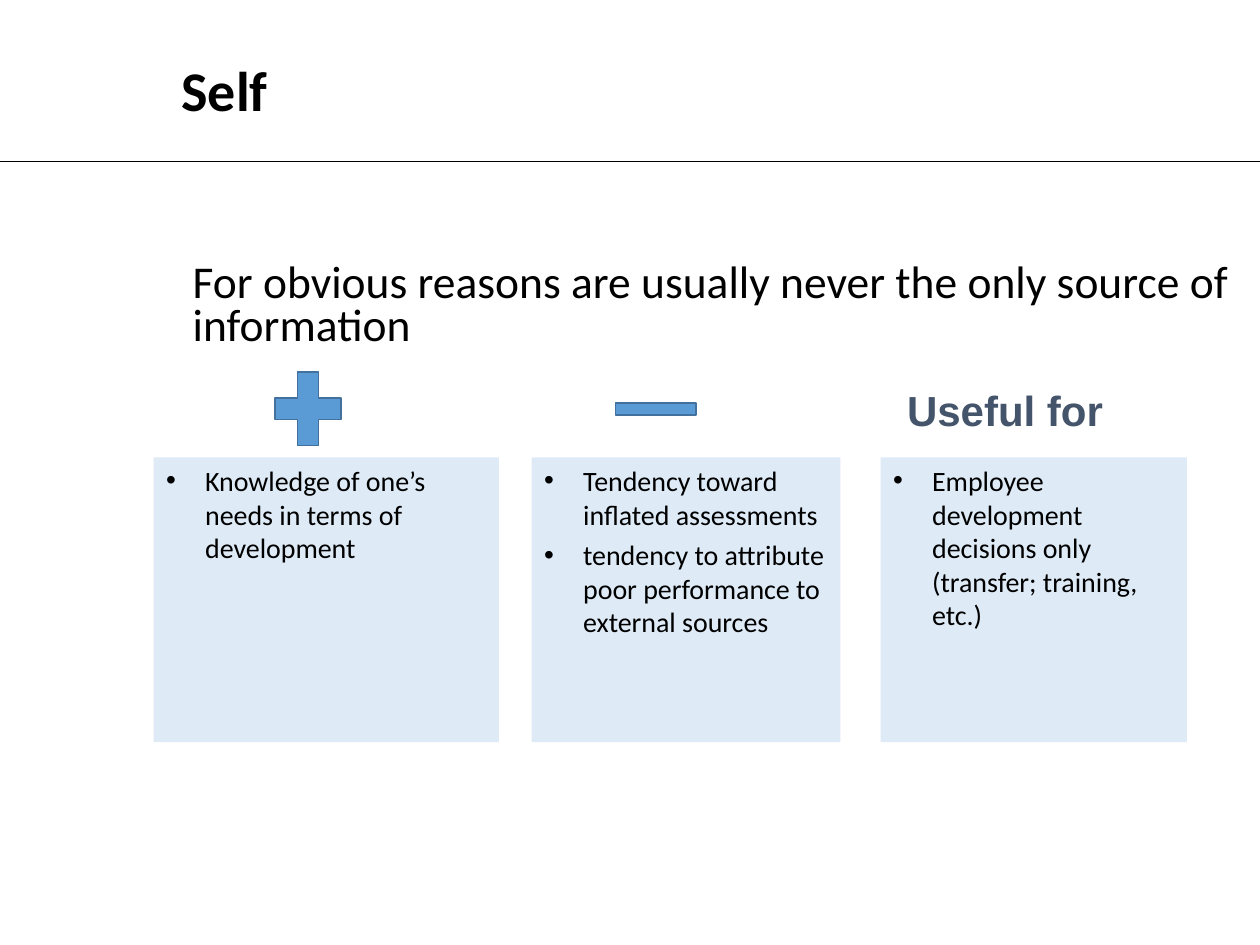
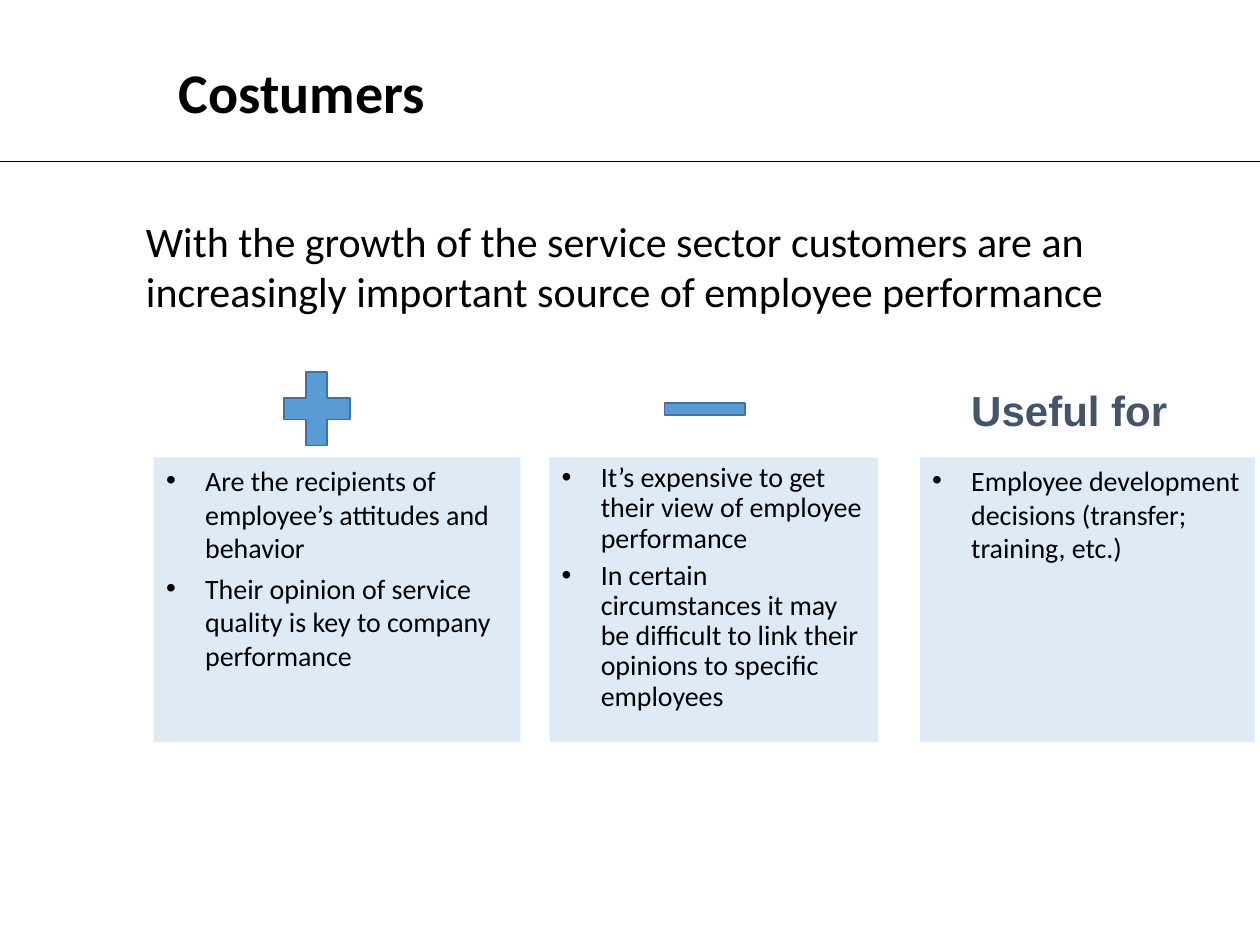
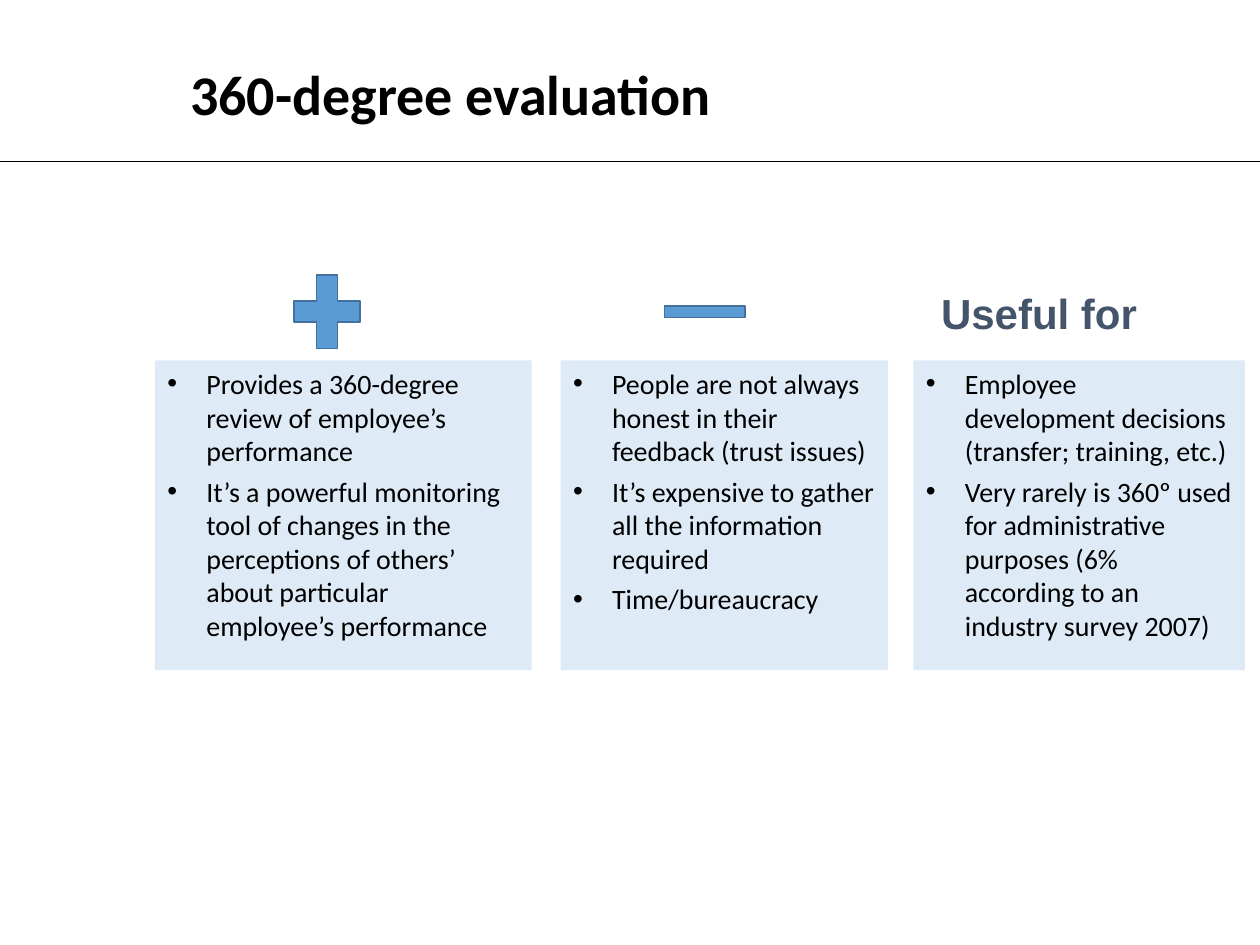
import dataclasses

import lxml.etree
import pptx
import pptx.dml.color
import pptx.enum.shapes
import pptx.enum.text
import pptx.oxml.ns
import pptx.util

Inches = pptx.util.Inches
Shape = pptx.enum.shapes.MSO_SHAPE


@dataclasses.dataclass(frozen=True)
class Theme:
    ink: str = "000000"
    icon: str = "5B9BD5"
    icon_edge: str = "41719C"
    panel: str = "DEEBF7"
    label: str = "44546A"
    body_font: str = "Calibri"
    label_font: str = "Arial"
    title_size: int = 32
    label_size: int = 24
    panel_size: int = 16


THEME = Theme()


@dataclasses.dataclass(frozen=True)
class Column:
    left: float
    width: float
    heading_left: float
    points: tuple
    line_spacing: float = 1.0


def rgb(value):
    return pptx.dml.color.RGBColor.from_string(value)


def add_element(parent, tag, **attributes):
    return lxml.etree.SubElement(parent, pptx.oxml.ns.qn(tag), **attributes)


def write_text(shape, *texts, size, font=THEME.body_font, color=THEME.ink, bold=False,
               line_spacing=1.0, space_before=0, indent=0, bullet=False, wrap=True):
    frame = shape.text_frame
    frame.word_wrap = wrap
    frame.auto_size = pptx.enum.text.MSO_AUTO_SIZE.NONE
    frame.vertical_anchor = pptx.enum.text.MSO_ANCHOR.TOP
    for index, text in enumerate(texts):
        para = frame.add_paragraph() if index else frame.paragraphs[0]
        para.alignment = pptx.enum.text.PP_ALIGN.LEFT
        para.line_spacing = line_spacing
        para.space_before = pptx.util.Pt(space_before if index else 0)
        properties = para._p.get_or_add_pPr()
        properties.set("marL", str(Inches(indent)))
        properties.set("indent", str(-Inches(indent) if bullet else 0))
        if bullet:
            add_element(properties, "a:buFont", typeface=THEME.label_font)
            add_element(properties, "a:buChar", char="•")
        span = para.add_run()
        span.text = text
        span.font.name = font
        span.font.size = pptx.util.Pt(size)
        span.font.bold = bold
        span.font.color.rgb = rgb(color)


def add_text(page, text, left, top, width, height, **text_format):
    box = page.shapes.add_textbox(Inches(left), Inches(top), Inches(width), Inches(height))
    write_text(box, text, **text_format)


def add_filled_shape(page, kind, left, top, width, height, fill, edge=None):
    shape = page.shapes.add_shape(kind, Inches(left), Inches(top), Inches(width), Inches(height))
    shape.shadow.inherit = False
    shape.fill.solid()
    shape.fill.fore_color.rgb = rgb(fill)
    if edge:
        shape.line.color.rgb = rgb(edge)
        shape.line.width = pptx.util.Pt(1)
    else:
        shape.line.fill.background()
    return shape


def add_rule(page):
    rule = page.shapes.add_connector(
        pptx.enum.shapes.MSO_CONNECTOR.STRAIGHT, 0, Inches(1.28), Inches(10), Inches(1.28))
    rule.line.color.rgb = rgb(THEME.ink)
    rule.line.width = pptx.util.Pt(0.5)
    add_element(rule._element.spPr, "a:effectLst")


def add_page(deck, title, left, top, width=9):
    page = deck.slides.add_slide(deck.slide_layouts[5])
    add_rule(page)
    box = page.shapes.title
    box.left, box.top, box.width, box.height = map(Inches, (left, top, width, 0.87))
    write_text(box, title, size=THEME.title_size, bold=True, line_spacing=0.9)
    return page


def add_icon(page, kind, left, top, width, height):
    add_filled_shape(page, kind, left, top, width, height, THEME.icon, THEME.icon_edge)


def add_panel(page, column, top, height):
    panel = add_filled_shape(page, Shape.RECTANGLE, column.left, top, column.width, height, THEME.panel)
    write_text(panel, *column.points, size=THEME.panel_size, space_before=4,
               line_spacing=column.line_spacing, indent=0.31, bullet=True)


def add_comparison(page, top, height, strengths, weaknesses, uses):
    add_icon(page, Shape.MATH_PLUS, strengths.heading_left, top - 0.78, 0.71, 0.79)
    add_icon(page, Shape.MATH_MINUS, weaknesses.heading_left, top - 0.58, 0.87, 0.39)
    for column in (strengths, weaknesses, uses):
        add_panel(page, column, top, height)
    add_text(page, "Useful for", uses.heading_left, top - 0.63, 1.75, 0.5, size=THEME.label_size,
             font=THEME.label_font, color=THEME.label, bold=True, wrap=False)


def add_self(deck):
    page = add_page(deck, "Self", 1.34, 0.45, 8.86)
    add_text(page, "For obvious reasons are usually never the only source of information",
             0.99, 2.04, 9.09, 0.8, size=26, line_spacing=0.8, indent=0.44)
    add_comparison(
        page, 3.63, 2.26,
        Column(1.22, 2.74, 2.09, ("Knowledge of one’s needs in terms of development",)),
        Column(4.22, 2.45, 4.77, (
            "Tendency toward inflated assessments",
            "tendency to attribute poor performance to external sources")),
        Column(6.99, 2.43, 7.1, (
            "Employee development decisions only (transfer; training, etc.)",)))


def add_customers(deck):
    page = add_page(deck, "Costumers", 1.32, 0.47)
    add_text(page, "With the growth of the service sector customers are an increasingly "
             "important source of employee performance", 1.06, 1.66, 8.94, 1.18, size=24)
    add_comparison(
        page, 3.63, 2.26,
        Column(1.22, 2.91, 2.16, (
            "Are the recipients of employee’s attitudes and behavior",
            "Their opinion of service quality is key to company performance")),
        Column(4.36, 2.61, 5.16, (
            "It’s expensive to get their view of employee performance",
            "In certain circumstances it may be difficult to link their opinions "
            "to specific employees"), line_spacing=0.9),
        Column(7.3, 2.66, 7.61, (
            "Employee development decisions (transfer; training, etc.)",)))


def add_full_circle(deck):
    page = add_page(deck, "360-degree evaluation", 1.41, 0.48)
    add_comparison(
        page, 2.86, 2.46,
        Column(1.23, 2.99, 2.24, (
            "Provides a 360-degree review of employee’s performance",
            "It’s a powerful monitoring tool of changes in the perceptions of others’ "
            "about particular employee’s performance")),
        Column(4.45, 2.6, 5.16, (
            "People are not always honest in their feedback (trust issues)",
            "It’s expensive to gather all the information required",
            "Time/bureaucracy")),
        Column(7.25, 2.63, 7.37, (
            "Employee development decisions (transfer; training, etc.)",
            "Very rarely is 360º used for administrative purposes "
            "(6% according to an industry survey 2007)")))


def main():
    deck = pptx.Presentation()
    deck.slide_width, deck.slide_height = Inches(10), Inches(7.5)
    add_self(deck)
    add_customers(deck)
    add_full_circle(deck)
    deck.save("out.pptx")


if __name__ == "__main__":
    main()
